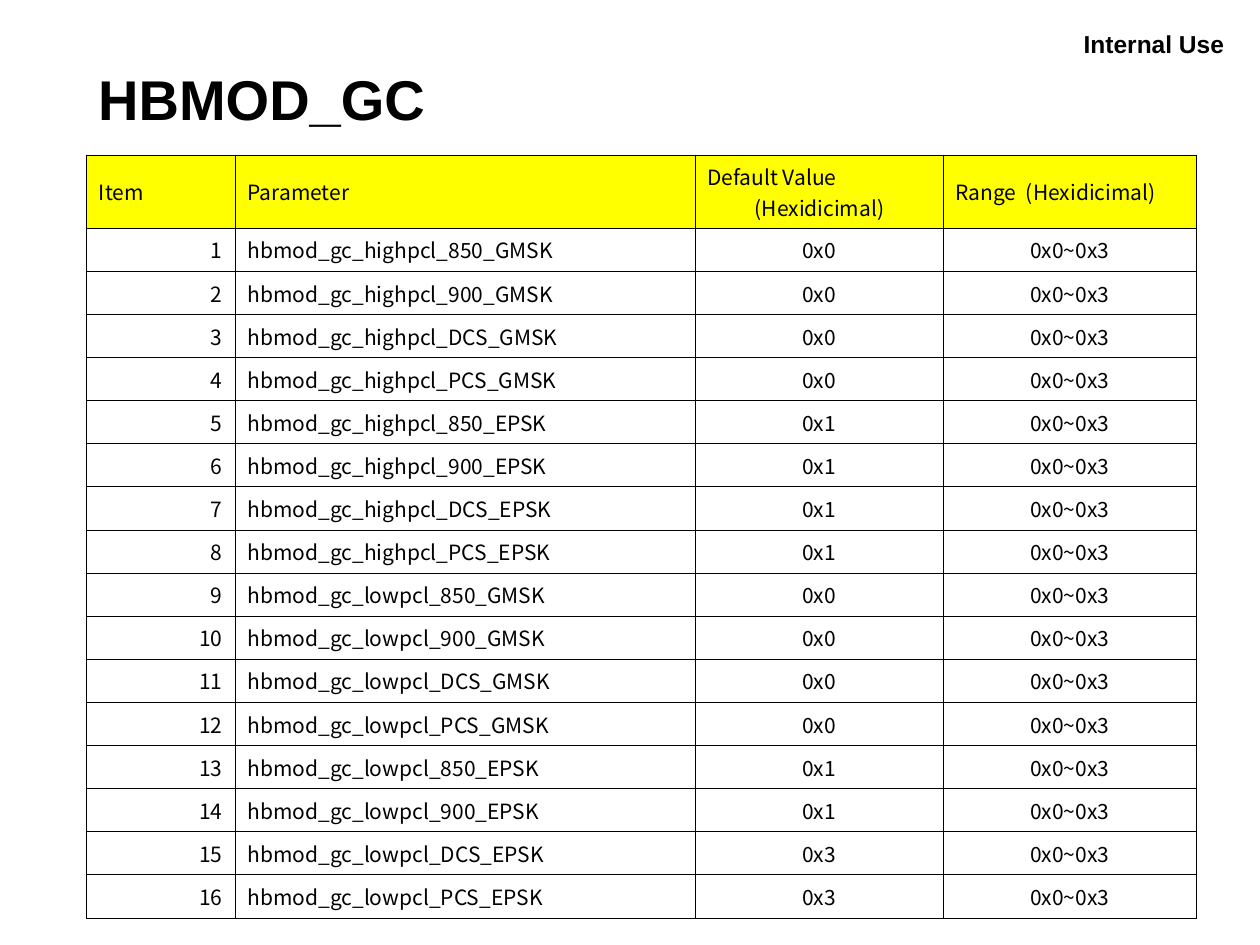
from itertools import product
from lxml.etree import SubElement
from pptx import Presentation
from pptx.dml.color import RGBColor
from pptx.enum.text import MSO_ANCHOR, PP_ALIGN
from pptx.oxml.ns import qn
from pptx.util import Pt

BLACK = RGBColor(0x00, 0x00, 0x00)
YELLOW = RGBColor(0xFF, 0xFF, 0x00)


def set_font(p, name, size, bold):
    p.font.name = name
    p.font.size = Pt(size)
    p.font.bold = bold
    p.font.color.rgb = BLACK


def add_borders(cell):
    tcPr = cell._tc.get_or_add_tcPr()
    for i, side in enumerate(("a:lnL", "a:lnR", "a:lnT", "a:lnB")):
        ln = SubElement(tcPr, qn(side), w=str(Pt(0.45)))
        fill = SubElement(ln, qn("a:solidFill"))
        SubElement(fill, qn("a:srgbClr"), val=str(BLACK))
        tcPr.insert(i, ln)


prs = Presentation()
prs.slide_width = Pt(720)
prs.slide_height = Pt(540)
s = prs.slides.add_slide(prs.slide_layouts[6])

for text, left, top, width, height, size, align, anchor in (
    ("Internal Use", 595.8, 13, 110.9, 24.5, 14, PP_ALIGN.RIGHT, MSO_ANCHOR.TOP),
    ("HBMOD_GC", 49, 30.2, 634.3, 51.8, 32, PP_ALIGN.LEFT, MSO_ANCHOR.MIDDLE),
):
    sp = s.shapes.add_textbox(Pt(left), Pt(top), Pt(width), Pt(height))
    tf = sp.text_frame
    tf.word_wrap = True
    tf.vertical_anchor = anchor
    p = tf.paragraphs[0]
    p.text = text
    p.alignment = align
    set_font(p, "Arial", size, True)

rows = [("Item", "Parameter", "Default Value (Hexidicimal)", "Range  (Hexidicimal)")]
defaults = [0] * 4 + [1] * 4 + [0] * 4 + [1, 1, 3, 3]
names = product(("highpcl", "lowpcl"), ("GMSK", "EPSK"), ("850", "900", "DCS", "PCS"))
for i, ((level, mode, band), default) in enumerate(zip(names, defaults), 1):
    rows.append((str(i), f"hbmod_gc_{level}_{band}_{mode}", f"0x{default}", "0x0~0x3"))

aligns = (PP_ALIGN.RIGHT, PP_ALIGN.LEFT, PP_ALIGN.CENTER, PP_ALIGN.CENTER)
table = s.shapes.add_table(len(rows), 4, Pt(49.3), Pt(88.6), Pt(634.3), Pt(436)).table
for col, width in zip(table.columns, (85, 262.8, 141.8, 144.7)):
    col.width = Pt(width)

for r, values in enumerate(rows):
    table.rows[r].height = Pt(24.64 if r else 41.8)
    for c, value in enumerate(values):
        cell = table.cell(r, c)
        cell.vertical_anchor = MSO_ANCHOR.MIDDLE
        if r:
            cell.fill.background()
        else:
            cell.fill.solid()
            cell.fill.fore_color.rgb = YELLOW
        add_borders(cell)
        p = cell.text_frame.paragraphs[0]
        p.text = value
        p.alignment = aligns[c] if r else PP_ALIGN.LEFT
        pPr = p._p.get_or_add_pPr()
        pPr.set("marL", str(Pt(27)))
        pPr.set("indent", str(-Pt(27)))
        set_font(p, "Noto Sans CJK TC", 12, False)

prs.save("out.pptx")
